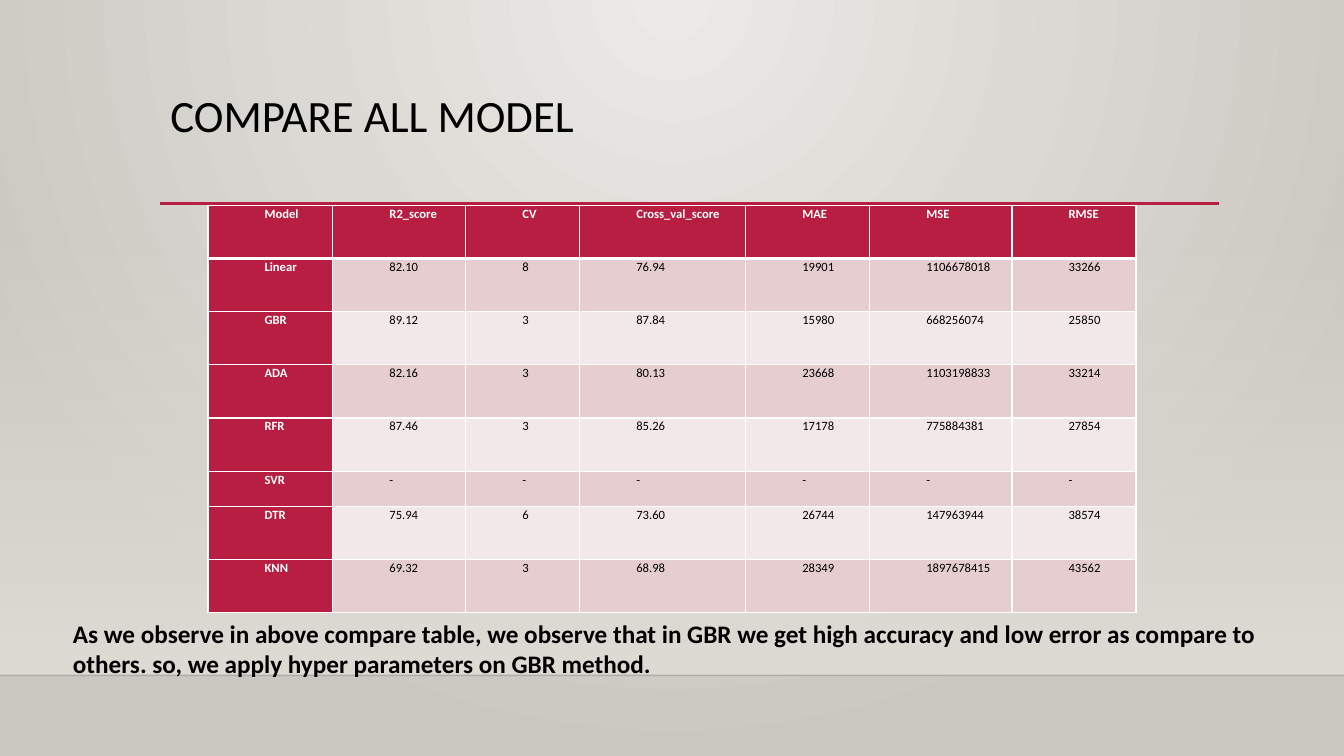
"""Build the model comparison slide with its score table and conclusion."""
from lxml import etree
from pptx import Presentation
from pptx.dml.color import RGBColor
from pptx.enum import shapes, text
from pptx.oxml import ns
from pptx.util import Pt

FONT = "Calibri"
BLACK = RGBColor(0x00, 0x00, 0x00)
WHITE = RGBColor(0xFF, 0xFF, 0xFF)
CRIMSON = RGBColor(0xB7, 0x1E, 0x42)
ROSE = RGBColor(0xE6, 0xCD, 0xCF)
PALE_ROSE = RGBColor(0xF3, 0xE8, 0xE9)
GLOW = RGBColor(0xEC, 0xEA, 0xE7)
STONE = RGBColor(0xCA, 0xC7, 0xC1)
SAND = RGBColor(0xDF, 0xDB, 0xD5)

SLIDE_WIDTH, SLIDE_HEIGHT = 960, 540
FLOOR_TOP = 482.4
COLUMN_WIDTHS = (89.2, 95, 81.4, 118.6, 88.6, 101.6, 88.6)
ROW_HEIGHT, SHORT_ROW_HEIGHT = 38, 25.2
SCORES = (
    ("Model", "R2_score", "CV", "Cross_val_score", "MAE", "MSE", "RMSE"),
    ("Linear", "82.10", "8", "76.94", "19901", "1106678018", "33266"),
    ("GBR", "89.12", "3", "87.84", "15980", "668256074", "25850"),
    ("ADA", "82.16", "3", "80.13", "23668", "1103198833", "33214"),
    ("RFR", "87.46", "3", "85.26", "17178", "775884381", "27854"),
    ("SVR", "-", "-", "-", "-", "-", "-"),
    ("DTR", "75.94", "6", "73.60", "26744", "147963944", "38574"),
    ("KNN", "69.32", "3", "68.98", "28349", "1897678415", "43562"),
)
CONCLUSION = (
    "As we observe in above compare table, we observe that in GBR we get high "
    "accuracy and low error as compare to others. so, we apply hyper parameters "
    "on GBR method."
)


def add_element(parent, tag, **attributes):
    return etree.SubElement(parent, ns.qn(tag), attributes)


def set_gradient(fill, first, last):
    fill.gradient()
    for stop, color, position in zip(fill.gradient_stops, (first, last), (0, 1)):
        stop.color.rgb = color
        stop.position = position


def format_text(paragraph, size, color, bold=False):
    for run in paragraph.runs:
        run.font.name = FONT
        run.font.size = Pt(size)
        run.font.color.rgb = color
        run.font.bold = bold


def paint_background(slide):
    fill = slide.background.fill
    set_gradient(fill, GLOW, STONE)
    gradient = next(slide.element.iter(ns.qn("a:gradFill")))
    gradient.remove(gradient.find(ns.qn("a:lin")))
    circle = add_element(gradient, "a:path", path="circle")
    add_element(circle, "a:fillToRect", l="43000", t="0", r="43000", b="100000")


def add_fading_wall(slide, top):
    wall = slide.shapes.add_shape(
        shapes.MSO_SHAPE.RECTANGLE, 0, Pt(top), Pt(SLIDE_WIDTH), Pt(FLOOR_TOP - top))
    wall.shadow.inherit = False
    wall.line.fill.background()
    set_gradient(wall.fill, SAND, SAND)
    gradient = wall.element.spPr.find(ns.qn("a:gradFill"))
    gradient.find(ns.qn("a:lin")).set("ang", "5400000")
    add_element(next(gradient.iter(ns.qn("a:srgbClr"))), "a:alpha", val="0")


def add_rule(slide, left, right, top, color, width, opacity=100):
    rule = slide.shapes.add_connector(
        shapes.MSO_CONNECTOR.STRAIGHT, Pt(left), Pt(top), Pt(right), Pt(top))
    rule.line.color.rgb = color
    rule.line.width = Pt(width)
    if opacity < 100:
        add_element(next(rule.element.spPr.iter(ns.qn("a:srgbClr"))),
                    "a:alpha", val=str(opacity * 1000))
    add_element(rule.element.spPr, "a:effectLst")


def set_title(slide, words):
    title = slide.shapes.title
    title.left, title.top, title.width, title.height = Pt(114.5), Pt(63.4), Pt(756), Pt(82.8)
    frame = title.text_frame
    frame.text = words
    frame.vertical_anchor = text.MSO_ANCHOR.TOP
    paragraph = frame.paragraphs[0]
    paragraph.alignment = text.PP_ALIGN.LEFT
    paragraph.line_spacing = 0.9
    format_text(paragraph, 32, BLACK)


def add_borders(cell, top_width, bottom_width):
    properties = cell._tc.get_or_add_tcPr()
    widths = {"a:lnL": 1, "a:lnR": 1, "a:lnT": top_width, "a:lnB": bottom_width}
    for tag, width in widths.items():
        border = add_element(properties, tag, w=str(Pt(width)))
        add_element(add_element(border, "a:solidFill"), "a:srgbClr", val=str(WHITE))


def format_cell(cell, row, column):
    add_borders(cell, 3 if row == 1 else 1, 3 if row == 0 else 1)
    heading = row == 0 or column == 0
    cell.fill.solid()
    cell.fill.fore_color.rgb = CRIMSON if heading else ROSE if row % 2 else PALE_ROSE
    cell.margin_left = cell.margin_right = Pt(4.5)
    cell.margin_top = cell.margin_bottom = 0
    paragraph = cell.text_frame.paragraphs[0]
    paragraph.alignment = text.PP_ALIGN.JUSTIFY
    paragraph.line_spacing = 1.06
    paragraph._p.get_or_add_pPr().set("marL", str(Pt(36)))
    if column == len(COLUMN_WIDTHS) - 1:
        paragraph.space_after = Pt(8)
    format_text(paragraph, 9, WHITE if heading else BLACK, heading)


def add_score_table(slide, left, top):
    heights = [SHORT_ROW_HEIGHT if row[0] == "SVR" else ROW_HEIGHT for row in SCORES]
    table = slide.shapes.add_table(
        len(SCORES), len(COLUMN_WIDTHS), Pt(left), Pt(top),
        Pt(sum(COLUMN_WIDTHS)), Pt(sum(heights))).table
    table.first_col = True
    for column, width in zip(table.columns, COLUMN_WIDTHS):
        column.width = Pt(width)
    for row_index, (values, height) in enumerate(zip(SCORES, heights)):
        table.rows[row_index].height = Pt(height)
        for column_index, value in enumerate(values):
            cell = table.cell(row_index, column_index)
            cell.text_frame.text = value
            format_cell(cell, row_index, column_index)


def add_conclusion(slide, left, top, width, height):
    frame = slide.shapes.add_textbox(Pt(left), Pt(top), Pt(width), Pt(height)).text_frame
    frame.word_wrap = True
    frame.text = CONCLUSION
    format_text(frame.paragraphs[0], 18, BLACK, True)


def main():
    presentation = Presentation()
    presentation.slide_width = Pt(SLIDE_WIDTH)
    presentation.slide_height = Pt(SLIDE_HEIGHT)
    slide = presentation.slides.add_slide(presentation.slide_layouts[5])
    paint_background(slide)
    add_fading_wall(slide, 159)
    add_rule(slide, 0, SLIDE_WIDTH, FLOOR_TOP, BLACK, 1, 20)
    add_rule(slide, 114.5, 871, 145.4, CRIMSON, 2.5)
    set_title(slide, "COMPARE ALL MODEL")
    add_score_table(slide, 148.5, 146.7)
    add_conclusion(slide, 45, 438, 915, 72)
    presentation.save("out.pptx")


if __name__ == "__main__":
    main()
